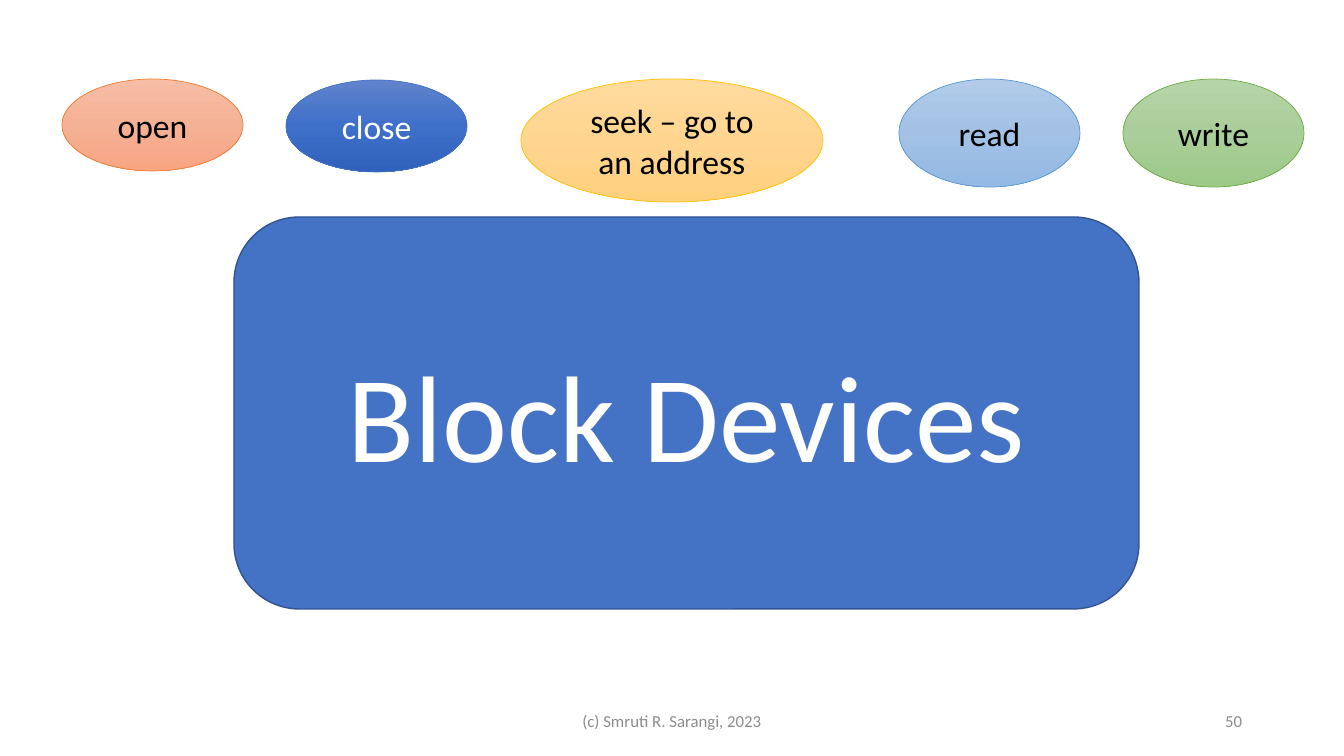
"""Build the slide showing the operations offered by block devices."""
import copy

import pptx
import pptx.dml.color
import pptx.enum.shapes
import pptx.enum.text
import pptx.util

PX = 914400 / 100.8
SHAPES = pptx.enum.shapes.MSO_SHAPE
ALIGN = pptx.enum.text.PP_ALIGN


def color(value):
    return pptx.dml.color.RGBColor.from_string(value)


def write_text(shape, text, size, text_color, alignment):
    frame = shape.text_frame
    frame.word_wrap = True
    frame.vertical_anchor = pptx.enum.text.MSO_ANCHOR.MIDDLE
    paragraph = frame.paragraphs[0]
    paragraph.alignment = alignment
    run = paragraph.add_run()
    run.text = text
    run.font.name = "Calibri"
    run.font.size = pptx.util.Pt(size)
    run.font.color.rgb = color(text_color)


presentation = pptx.Presentation()
presentation.slide_width = round(1344 * PX)
presentation.slide_height = round(756 * PX)
slide = presentation.slides.add_slide(presentation.slide_layouts[6])

footers = [
    ("(c) Smruti R. Sarangi, 2023", 445, 454, ALIGN.CENTER),
    ("50", 950, 302, ALIGN.RIGHT),
]
for text, left, width, alignment in footers:
    box = [round(length * PX) for length in (left, 701, width, 40)]
    footer = slide.shapes.add_textbox(*box)
    write_text(footer, text, 12, "8C8C8C", alignment)

box = [round(length * PX) for length in (234, 217, 905, 392)]
devices = slide.shapes.add_shape(SHAPES.ROUNDED_RECTANGLE, *box)
devices.shadow.inherit = False
devices.fill.solid()
devices.fill.fore_color.rgb = color("4472C4")
devices.line.color.rgb = color("325491")
devices.line.width = pptx.util.Pt(1)
write_text(devices, "Block Devices", 88, "FFFFFF", ALIGN.CENTER)

operations = [
    ("open", 62, 79, 181, 92, ["F7BDA5", "F5B196", "F8A582"], "ED7D31", "000000"),
    ("close", 286, 80, 181, 92, ["6183CB", "3E70CA", "3062BB"], "4472C4", "FFFFFF"),
    ("seek – go to an address", 521, 79, 302, 123, ["FFDB9E", "FFD590", "FFD07C"], "FFC000", "000000"),
    ("read", 899, 79, 181, 108, ["B1CBE9", "A3C1E5", "93B9E4"], "5B9BD5", "000000"),
    ("write", 1123, 79, 181, 108, ["B5D5A7", "AACE9A", "9CC987"], "70AD47", "000000"),
]
for text, left, top, width, height, gradient, line_color, text_color in operations:
    box = [round(length * PX) for length in (left, top, width, height)]
    operation = slide.shapes.add_shape(SHAPES.OVAL, *box)
    operation.shadow.inherit = False
    operation.fill.gradient()
    operation.fill.gradient_angle = 270
    stop_list = operation.element.xpath(".//a:gsLst")[0]
    stop_list.insert(1, copy.deepcopy(stop_list[0]))
    for index, stop in enumerate(operation.fill.gradient_stops):
        stop.position = index / 2
        stop.color.rgb = color(gradient[index])
    operation.line.color.rgb = color(line_color)
    operation.line.width = pptx.util.Pt(0.5)
    write_text(operation, text, 24, text_color, ALIGN.CENTER)

presentation.save("out.pptx")
